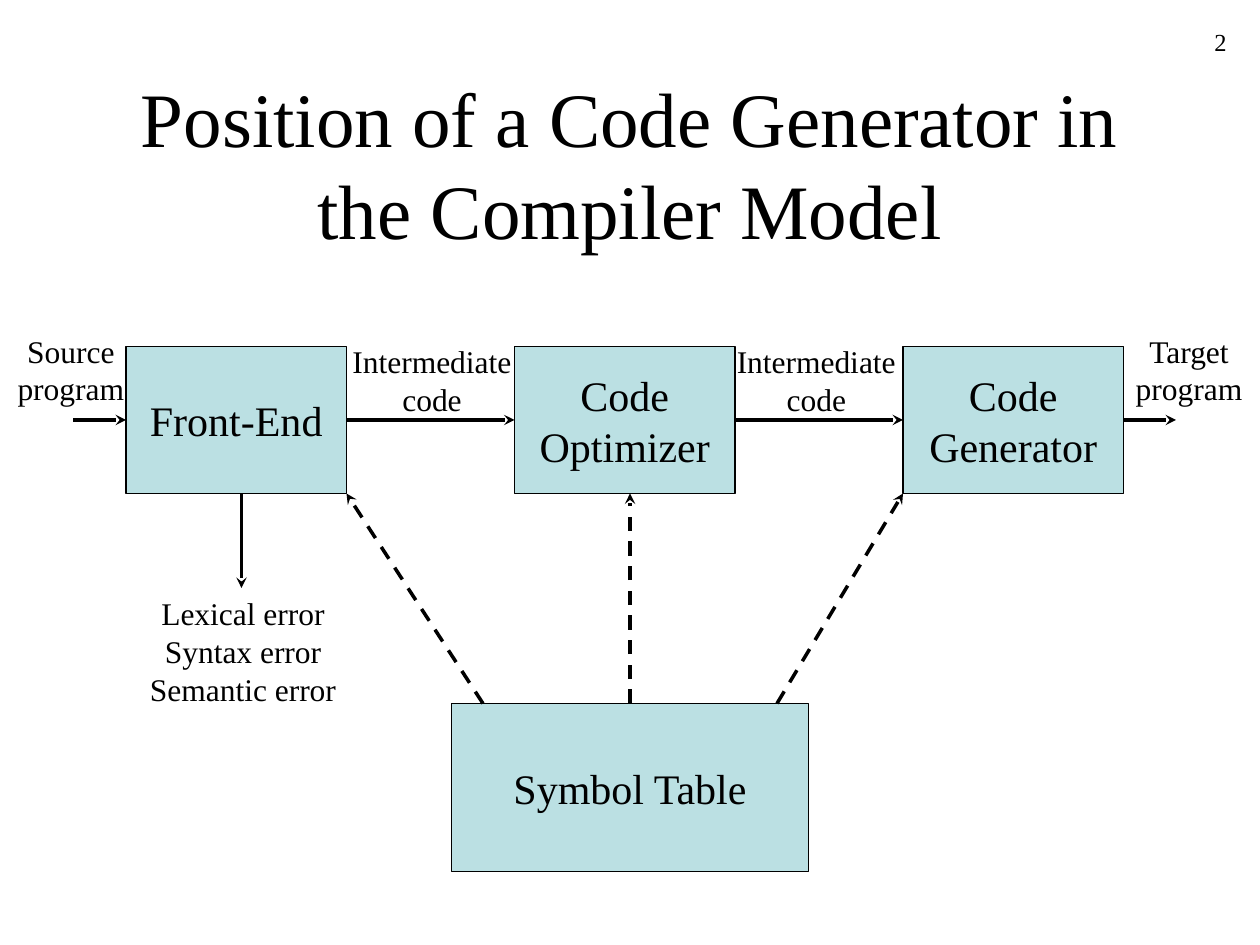
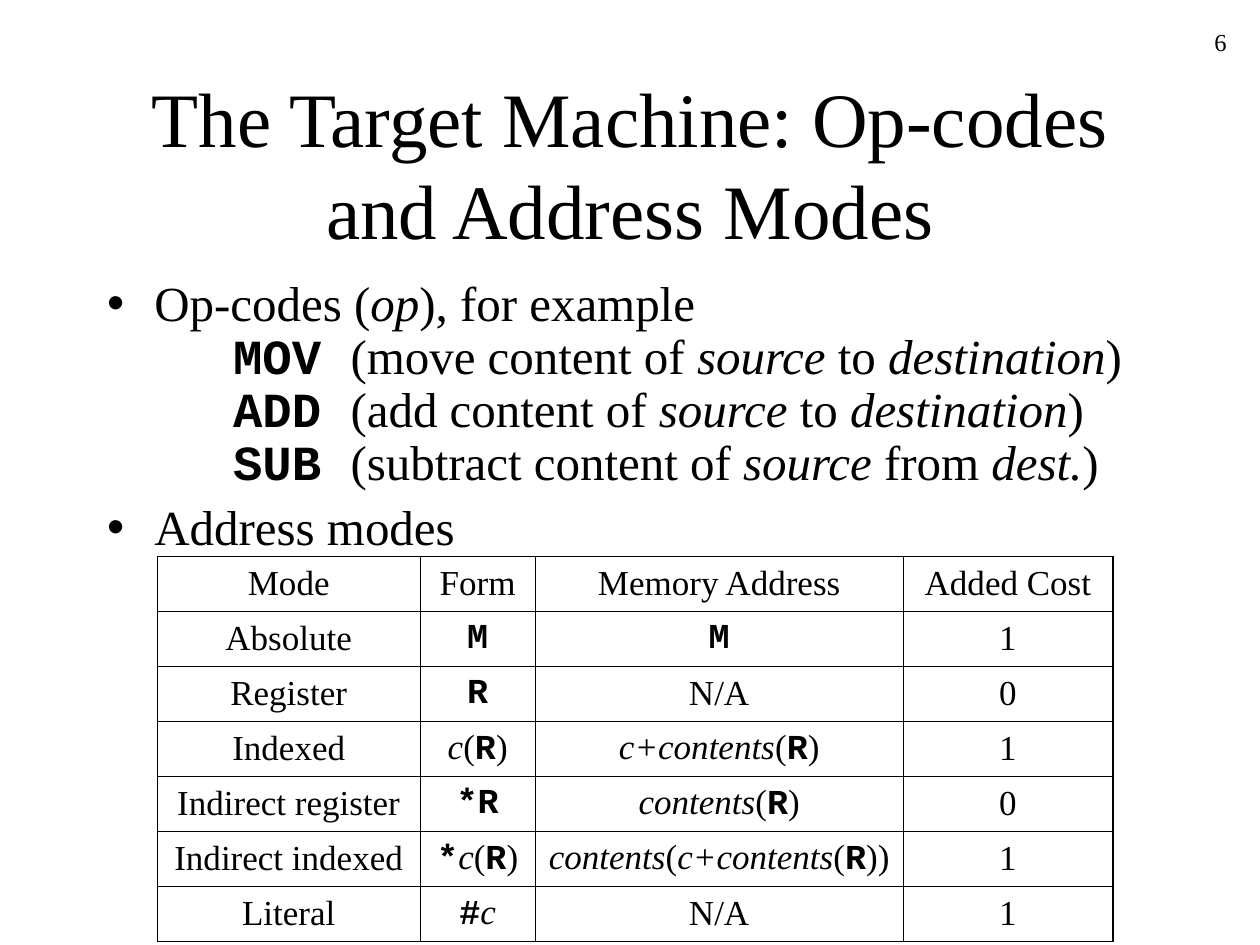
from lxml import etree
from pptx import Presentation
from pptx.dml.color import RGBColor
from pptx.enum.dml import MSO_LINE
from pptx.enum.shapes import MSO_CONNECTOR, MSO_SHAPE
from pptx.enum.text import MSO_ANCHOR, MSO_AUTO_SIZE, PP_ALIGN
from pptx.oxml.ns import qn
from pptx.util import Inches, Pt

BLACK = RGBColor(0x00, 0x00, 0x00)
PALE_TEAL = RGBColor(0xBB, 0xE0, 0xE3)
SERIF, MONO = "Times New Roman", "Courier New"
LEFT, CENTER, RIGHT = PP_ALIGN.LEFT, PP_ALIGN.CENTER, PP_ALIGN.RIGHT
TOP, MIDDLE = MSO_ANCHOR.TOP, MSO_ANCHOR.MIDDLE
FIXED_SIZE = MSO_AUTO_SIZE.NONE
DASH = MSO_LINE.DASH
RECTANGLE, STRAIGHT = MSO_SHAPE.RECTANGLE, MSO_CONNECTOR.STRAIGHT

# The grid has 120 columns and 90 rows, twelve to the inch.
COLUMNS, ROWS = 120, 90
TITLE_AND_BODY, TITLE_ONLY = 1, 5


def grid(*cells):
    """Turn grid columns or rows into lengths."""
    return [Inches(cell / 12) for cell in cells]


class Deck:
    """Holds the style and the current slide."""

    def __init__(self):
        self.presentation = Presentation()
        width, height = grid(COLUMNS, ROWS)
        self.presentation.slide_width = width
        self.presentation.slide_height = height
        self.slide = None

    def set_text(self, paragraph, text, size, align):
        """Set text whose parts, split by |, start with / for italic or ` for code."""
        paragraph.alignment = align
        font = paragraph.font
        font.name, font.size, font.color.rgb = SERIF, Pt(size), BLACK
        for part in text.split("|"):
            mark = part[:1]
            for index, line in enumerate(part.lstrip("/`").split("\n")):
                if index:
                    paragraph.add_line_break()
                if not line:
                    continue
                run = paragraph.add_run()
                run.text = line
                if mark == "/":
                    run.font.italic = True
                elif mark == "`":
                    run.font.name, run.font.bold = MONO, True

    def fill_frame(self, shape, text, size, align, anchor=TOP, wrap=True):
        frame = shape.text_frame
        frame.word_wrap, frame.auto_size = wrap, FIXED_SIZE
        frame.vertical_anchor = anchor
        self.set_text(frame.paragraphs[0], text, size, align)

    def place(self, shape, *cells):
        shape.left, shape.top, shape.width, shape.height = grid(*cells)

    def add_slide(self, layout, title, number):
        layouts = self.presentation.slide_layouts
        self.slide = self.presentation.slides.add_slide(layouts[layout])
        heading = self.slide.shapes.title
        self.place(heading, 9, 8, 102, 15)
        self.fill_frame(heading, title, 44, CENTER, MIDDLE)
        page_number = self.slide.shapes.add_textbox(*grid(93, 2, 25, 6))
        self.fill_frame(page_number, number, 14, RIGHT)

    def bullets(self, items, *cells):
        body = self.slide.placeholders[1]
        self.place(body, *cells)
        frame = body.text_frame
        frame.auto_size = FIXED_SIZE
        for index, item in enumerate(items):
            paragraph = frame.add_paragraph() if index else frame.paragraphs[0]
            self.set_text(paragraph, item, 28, LEFT)
            paragraph.line_spacing, paragraph.space_before = 0.9, Pt(7)
            tabs = etree.Element(qn("a:tabLst"))
            etree.SubElement(tabs, qn("a:tab"), pos=str(Inches(1)), algn="l")
            properties = paragraph._p.get_or_add_pPr()
            properties.find(qn("a:defRPr")).addprevious(tabs)

    def box(self, text, *cells):
        shape = self.slide.shapes.add_shape(RECTANGLE, *grid(*cells))
        shape.shadow.inherit = False
        shape.fill.solid()
        shape.fill.fore_color.rgb = PALE_TEAL
        shape.line.color.rgb, shape.line.width = BLACK, Pt(0.75)
        self.fill_frame(shape, text, 24, CENTER, MIDDLE, wrap=False)

    def label(self, text, center, top, width=18):
        height = 5.4 + 3 * text.count("\n")
        cells = grid(center - width / 2, top, width, height)
        textbox = self.slide.shapes.add_textbox(*cells)
        self.fill_frame(textbox, text, 18, CENTER, wrap=False)

    def arrow(self, start, end, dash=None):
        connector = self.slide.shapes.add_connector(STRAIGHT, *grid(*start, *end))
        line = connector.line
        line.color.rgb, line.width = BLACK, Pt(2)
        if dash:
            line.dash_style = dash
        properties = connector._element.spPr
        outline = properties.find(qn("a:ln"))
        etree.SubElement(outline, qn("a:tailEnd"), type="stealth")
        etree.SubElement(properties, qn("a:effectLst"))

    def border(self, cell, side, width):
        properties = cell._tc.get_or_add_tcPr()
        line = etree.SubElement(properties, qn(f"a:ln{side}"), w=str(Pt(width)))
        fill = etree.SubElement(line, qn("a:solidFill"))
        etree.SubElement(fill, qn("a:srgbClr"), val=str(BLACK))

    def table(self, rows, widths, row_height, left, top):
        last_row, last_column = len(rows) - 1, len(widths) - 1
        cells = grid(left, top, sum(widths), row_height * len(rows))
        table = self.slide.shapes.add_table(len(rows), len(widths), *cells).table
        table.first_row = table.horz_banding = False
        for column, width in zip(table.columns, grid(*widths)):
            column.width = width
        for row_index, row in enumerate(rows):
            for column_index, text in enumerate(row):
                cell = table.cell(row_index, column_index)
                cell.vertical_anchor = MIDDLE
                paragraph = cell.text_frame.paragraphs[0]
                self.set_text(paragraph, text, 20, CENTER)
                paragraph.space_before = Pt(5)
                # Outer borders are heavier than inner ones.
                outer = {"L": column_index == 0, "R": column_index == last_column,
                         "T": row_index == 0, "B": row_index == last_row}
                for side, is_outer in outer.items():
                    self.border(cell, side, 1.08 if is_outer else 0.45)
                cell.fill.background()


def add_compiler_model(deck):
    deck.add_slide(TITLE_ONLY, "Position of a Code Generator in the Compiler Model", "2")

    # Compiler phases
    phases = ["Front-End", "Code\nOptimizer", "Code\nGenerator"]
    phase_width, phase_top, phase_height = 21, 33, 14
    phase_lefts = [12 + 37 * index for index in range(len(phases))]
    phase_bottom = phase_top + phase_height
    for phase, left in zip(phases, phase_lefts):
        deck.box(phase, left, phase_top, phase_width, phase_height)

    # Program flow
    flow_row = phase_top + phase_height / 2
    starts = [7] + [left + phase_width for left in phase_lefts]
    for start, end in zip(starts, phase_lefts + [112]):
        deck.arrow((start, flow_row), (end, flow_row))
    deck.label("Source\nprogram", 6.75, 31)
    deck.label("Intermediate\ncode", 41.15, 32)
    deck.label("Intermediate\ncode", 77.75, 32)
    deck.label("Target\nprogram", 113.25, 31)

    # Errors
    deck.arrow((23, phase_bottom), (23, 56))
    deck.label("Lexical error\nSyntax error\nSemantic error", 23.15, 56, 20)

    # Symbol table
    table_top = 67
    deck.box("Symbol Table", 43, table_top, 34, 16)
    for start, end in [(46, 33), (60, 60), (74, 86)]:
        deck.arrow((start, table_top), (end, phase_bottom), DASH)


def add_target_machine(deck):
    deck.add_slide(TITLE_AND_BODY, "The Target Machine: Op-codes and Address Modes", "6")
    deck.bullets([
        "Op-codes (|/op|), for example\n"
        "\t|`MOV |(move content of |/source| to |/destination|)\n"
        "\t|`ADD |(add content of |/source| to |/destination|)\n"
        "\t|`SUB |(subtract content of |/source| from |/dest.|)",
        "Address modes",
    ], 9, 26, 102, 54)

    address_modes = [
        ("Mode", "Form", "Memory Address", "Added Cost"),
        ("Absolute", "`M", "`M", "1"),
        ("Register", "`R", "N/A", "0"),
        ("Indexed", "/c|(|`R|)", "/c+contents|(|`R|)", "1"),
        ("Indirect register", "`*R", "/contents|(|`R|)", "0"),
        ("Indirect indexed", "`*|/c|(|`R|)", "/contents|(|/c+contents|(|`R|))", "1"),
        ("Literal", "`#|/c", "N/A", "1"),
    ]
    deck.table(address_modes, [25, 11, 35, 20], 5.24, 15, 53)


def main():
    deck = Deck()
    add_compiler_model(deck)
    add_target_machine(deck)
    deck.presentation.save("out.pptx")


if __name__ == "__main__":
    main()
